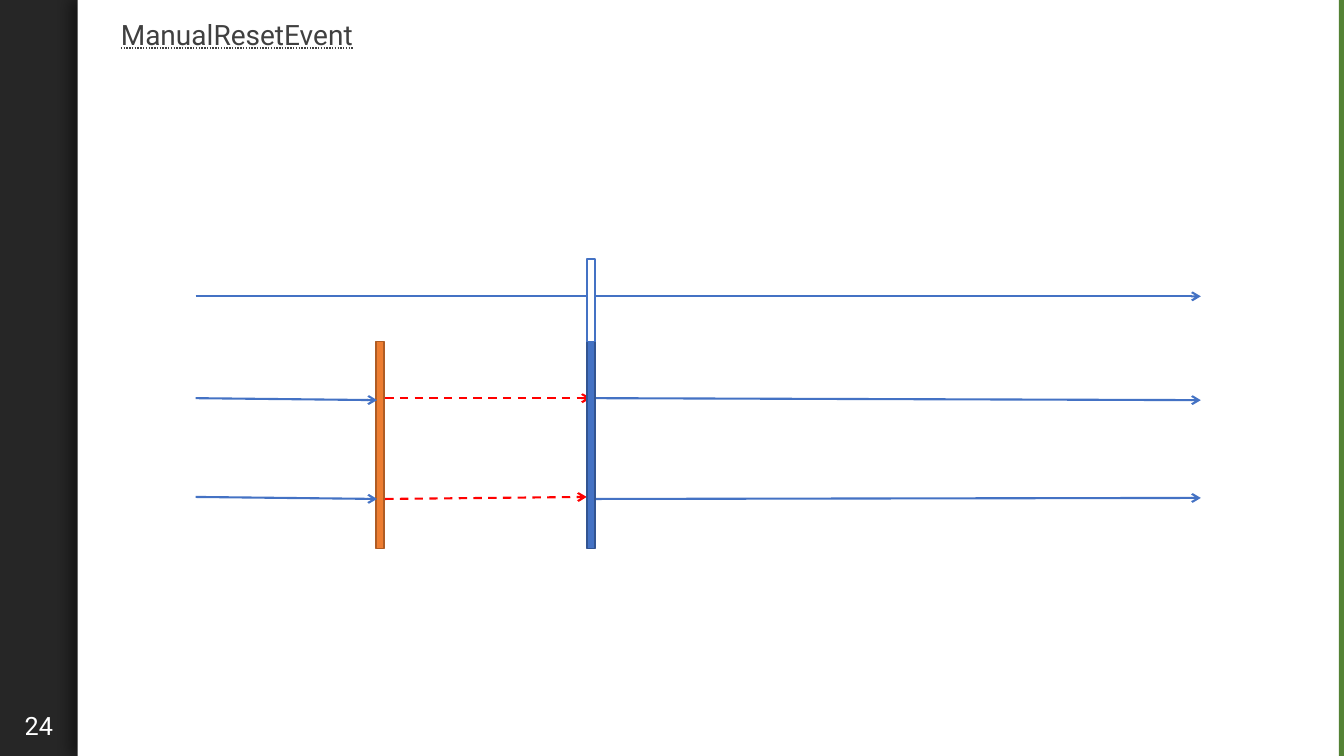
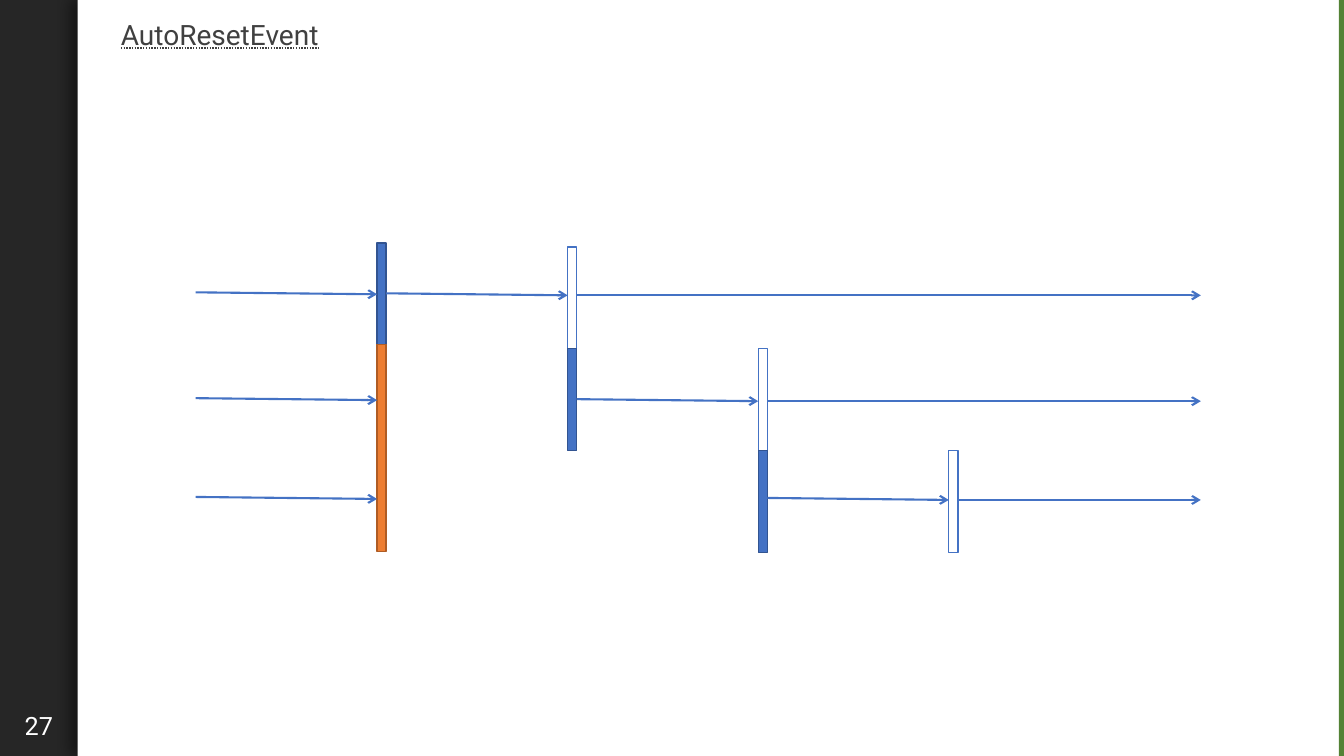
import pptx
import pptx.dml.color
import pptx.enum.dml
import pptx.enum.shapes
import pptx.enum.text
import pptx.oxml.ns
import pptx.util
from lxml import etree

Inches, Pt = pptx.util.Inches, pptx.util.Pt
COLORS = {
    "dark": "262626", "white": "FFFFFF", "green": "548235", "title": "404040",
    "blue": "4472C4", "blue_edge": "325491", "orange": "ED7D31",
    "orange_edge": "AF5C24", "red": "FF0000", "black": "000000",
}
# Fill and edge of a bar for each state of the event
BARS = {
    "waiting": ("orange", "orange_edge"),
    "signaled": ("blue", "blue_edge"),
    "passed": ("white", "blue"),
}
FONT = "Roboto"
SLIDE_W, SLIDE_H = 13.33, 7.5
SIDEBAR_W = 0.77
DIAGRAM = (1.94, 2.41, 9.97, 3.06)


def rgb(name):
    """Return the palette colour called name."""
    return pptx.dml.color.RGBColor.from_string(COLORS[name])


def add_xml(parent, tag, **attrs):
    """Append a DrawingML element and return it."""
    return etree.SubElement(parent, pptx.oxml.ns.qn(tag), attrs)


def add_rect(slide, box, fill, edge=None):
    """Draw a flat rectangle in box, with an optional edge."""
    sp = slide.shapes.add_shape(
        pptx.enum.shapes.MSO_SHAPE.RECTANGLE, *map(Inches, box))
    sp.shadow.inherit = False
    sp.fill.solid()
    sp.fill.fore_color.rgb = rgb(fill)
    if edge:
        sp.line.color.rgb = rgb(edge)
        sp.line.width = Pt(1)
    else:
        sp.line.fill.background()
    return sp


def add_text(slide, box, text, size, color, align=None, underline=None,
             line_spacing=None, space_before=None):
    """Write one paragraph of text in box."""
    tf = slide.shapes.add_textbox(*map(Inches, box)).text_frame
    tf.word_wrap = True
    p = tf.paragraphs[0]
    p.alignment = align
    p.line_spacing = line_spacing
    p.space_before = space_before
    r = p.add_run()
    r.text = text
    r.font.name = FONT
    r.font.size = Pt(size)
    r.font.color.rgb = rgb(color)
    r.font.underline = underline


def add_arrow(slide, box, start, end, color="blue", dashed=False):
    """Draw an arrow between two points measured from the corner of box."""
    left, top = box[:2]
    points = (left + start[0], top + start[1], left + end[0], top + end[1])
    line = slide.shapes.add_connector(
        pptx.enum.shapes.MSO_CONNECTOR.STRAIGHT, *map(Inches, points))
    line.line.color.rgb = rgb(color)
    line.line.width = Pt(1.5)
    if dashed:
        line.line.dash_style = pptx.enum.dml.MSO_LINE.DASH
    props = line._element.spPr
    add_xml(props.find(pptx.oxml.ns.qn("a:ln")), "a:tailEnd", type="arrow")
    add_xml(props, "a:effectLst")


def add_bar(slide, box, x, y, width, height, state):
    """Draw an event bar, placed from the corner of box."""
    add_rect(slide, (box[0] + x, box[1] + y, width, height), *BARS[state])


def add_page(slide, box):
    """Draw the white page with a soft shadow on the sidebar."""
    sp = add_rect(slide, box, "white")
    effects = sp._element.spPr.find(pptx.oxml.ns.qn("a:effectLst"))
    shadow = add_xml(effects, "a:outerShdw", blurRad=str(Pt(9)),
                     dist=str(Pt(5)), dir="10800000", rotWithShape="0")
    color = add_xml(shadow, "a:srgbClr", val=COLORS["black"])
    add_xml(color, "a:alpha", val="40000")


def add_base(prs, title, number):
    """Add a slide with the sidebar, page, green edge and title."""
    slide = prs.slides.add_slide(prs.slide_layouts[6])
    add_rect(slide, (0, 0, SLIDE_W, SLIDE_H), "dark")
    add_text(slide, (0, 7, SIDEBAR_W, 0.4), str(number), 18, "white",
             align=pptx.enum.text.PP_ALIGN.CENTER)
    add_page(slide, (SIDEBAR_W, 0, SLIDE_W - SIDEBAR_W, SLIDE_H))
    add_rect(slide, (SLIDE_W - 0.05, 0, 0.05, SLIDE_H), "green")
    add_text(slide, (1.1, 0.16, 11.64, 0.43), title, 20, "title",
             underline=pptx.enum.text.MSO_UNDERLINE.DOTTED_LINE,
             line_spacing=0.9, space_before=Pt(10))
    return slide


def manual_reset(slide, box):
    """Draw threads that wait at one bar and are released together."""
    end = box[2]
    bar_w, bar_h, bar_top = 0.08, 2.05, 0.98
    wait, release = 1.79, 3.88
    add_bar(slide, box, wait, bar_top, bar_w, bar_h, "waiting")
    add_arrow(slide, box, (0, 0.53), (end, 0.53))
    # Heights of entry start, wait start, wait end, release start and end
    lanes = [(1.54, 1.54, 1.54, 1.54, 1.56), (2.52, 2.54, 2.52, 2.54, 2.53)]
    for (entry, wait_from, wait_to, go_from, go_to), overlap in zip(lanes, (0.04, 0)):
        add_arrow(slide, box, (0, entry), (wait + 0.01, entry + 0.02))
        add_arrow(slide, box, (wait + bar_w + 0.01, wait_from),
                  (release + overlap, wait_to), "red", dashed=True)
        add_arrow(slide, box, (release + bar_w, go_from), (end, go_to))
    add_bar(slide, box, release, bar_top, bar_w, bar_h, "signaled")
    add_bar(slide, box, release, bar_top - 0.82, bar_w, 0.82, "passed")


def auto_reset(slide, box):
    """Draw threads that are released one after another."""
    end = box[2]
    bar_w, bar_h, step = 0.09, 1.01, 1.89
    lanes = (0.49, 1.54, 2.52)
    bars = [1.8 + step * i for i in range(len(lanes) + 1)]
    add_bar(slide, box, bars[0], 0, bar_w, bar_h, "signaled")
    add_bar(slide, box, bars[0], bar_h, bar_w, 2.05, "waiting")
    for i, y in enumerate(lanes):
        here, after = bars[i], bars[i + 1]
        top = 0.04 + bar_h * i
        add_arrow(slide, box, (0, y), (bars[0], y + 0.02))
        add_arrow(slide, box, (here + bar_w, y + 0.01), (after, y + 0.03))
        add_bar(slide, box, after, top, bar_w, bar_h, "passed")
        if i < len(lanes) - 1:
            add_bar(slide, box, after, top + bar_h, bar_w, bar_h, "signaled")
        add_arrow(slide, box, (after + bar_w, y + 0.03), (end, y + 0.03))


prs = pptx.Presentation()
prs.slide_width, prs.slide_height = Inches(SLIDE_W), Inches(SLIDE_H)
for title, number, draw in (("ManualResetEvent", 24, manual_reset),
                            ("AutoResetEvent", 27, auto_reset)):
    draw(add_base(prs, title, number), DIAGRAM)
prs.save("out.pptx")
